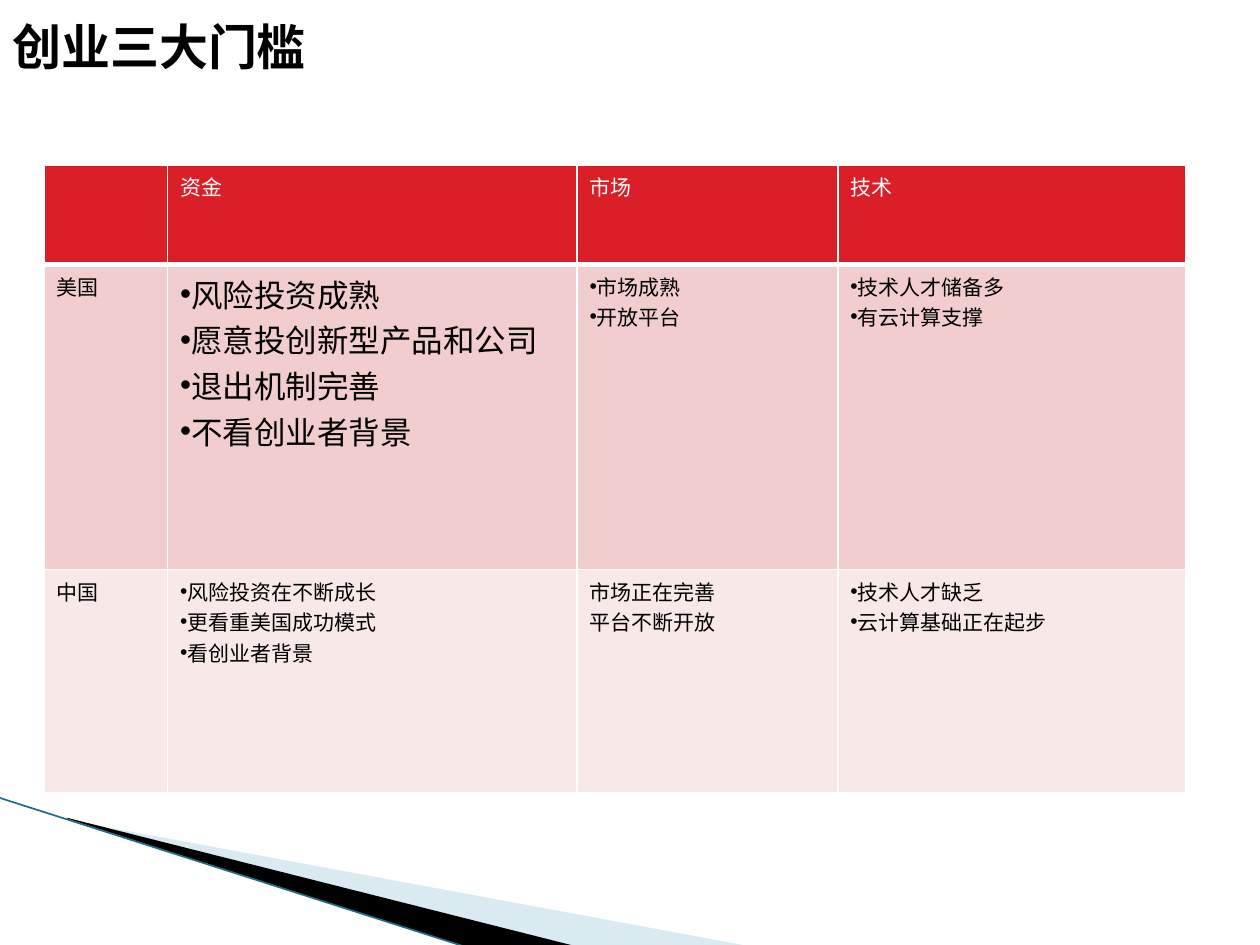
from dataclasses import dataclass

from lxml.etree import SubElement
from pptx import Presentation
from pptx.dml.color import RGBColor
from pptx.enum.shapes import MSO_CONNECTOR
from pptx.enum.text import MSO_ANCHOR
from pptx.oxml import parse_xml
from pptx.oxml.ns import nsdecls, qn
from pptx.util import Inches, Pt

COLORS = {
    "black": "000000",
    "white": "FFFFFF",
    "red": "DA1F28",
    "rose": "F1CDCD",
    "blush": "F8E8E8",
    "sky": "A0CBDC",
    "teal": "1B6F85",
}
CJK = "Noto Sans CJK SC"


@dataclass
class Wedge:
    points: list[tuple[float, float]]
    color: str
    alpha: int = 100


@dataclass
class Entry:
    lines: tuple[str, ...] = ()
    bullet: bool = False
    size: int = 12
    font: str = "Arial"
    level: int = 0


@dataclass
class Row:
    height: float
    fill: str
    ink: str
    cells: list[Entry]
    base: int = 1  # width of the lower border in points


WEDGES = [
    Wedge([(0.55, 6.51), (5.95, 7.51), (4.56, 7.51), (0.55, 6.5)], "sky", 40),
    Wedge([(0.53, 6.49), (4.57, 7.51), (3.72, 7.52), (0.54, 6.5)], "black"),
]
WIDTHS = [0.98, 3.25, 2.07, 2.76]
ROWS = [
    Row(0.79, "red", "white", [
        Entry(), Entry(("资金",)), Entry(("市场",)), Entry(("技术",)),
    ], base=3),
    Row(2.42, "rose", "black", [
        Entry(("美国",)),
        Entry(("风险投资成熟", "愿意投创新型产品和公司", "退出机制完善", "不看创业者背景"),
              True, 18, "Courier New", 1),
        Entry(("市场成熟", "开放平台"), True),
        Entry(("技术人才储备多", "有云计算支撑"), True),
    ]),
    Row(1.77, "blush", "black", [
        Entry(("中国",)),
        Entry(("风险投资在不断成长", "更看重美国成功模式", "看创业者背景"), True),
        Entry(("市场正在完善", "平台不断开放")),
        Entry(("技术人才缺乏", "云计算基础正在起步"), True),
    ]),
]


def tint(name: str) -> RGBColor:
    return RGBColor.from_string(COLORS[name])


def write(frame, lines, *, size=12, font="Arial", color="black",
          bold=False, bullet=False, level=0) -> None:
    """Fill a text frame with one paragraph per line."""
    for i, line in enumerate(lines):
        para = frame.add_paragraph() if i else frame.paragraphs[0]
        para.level = level
        run = para.add_run()
        run.text = line
        run.font.size = Pt(size)
        run.font.bold = bold
        run.font.color.rgb = tint(color)
        run.font.name = font
        SubElement(run.font._element, qn("a:ea"), typeface=CJK)
        if bullet:
            props = para._p.get_or_add_pPr()
            props.set("marL", "0")
            props.set("indent", "0")
            SubElement(props, qn("a:buFont"), typeface="Arial")
            SubElement(props, qn("a:buChar"), char="•")


def edge(cell, base: int) -> None:
    """Draw white borders around a cell."""
    props = cell._tc.get_or_add_tcPr()
    for i, (side, width) in enumerate(zip("LRTB", (1, 1, 1, base))):
        props.insert(i, parse_xml(
            f'<a:ln{side} {nsdecls("a")} w="{Pt(width)}"><a:solidFill>'
            f'<a:srgbClr val="{COLORS["white"]}"/></a:solidFill></a:ln{side}>'))


def draw_wedge(slide, wedge: Wedge) -> None:
    points = [(Inches(x), Inches(y)) for x, y in wedge.points]
    form = slide.shapes.build_freeform(*points[0])
    form.add_line_segments(points[1:], close=True)
    shape = form.convert_to_shape()
    shape.shadow.inherit = False
    shape.line.fill.background()
    shape.fill.solid()
    shape.fill.fore_color.rgb = tint(wedge.color)
    if wedge.alpha < 100:
        color = shape._element.spPr.find(".//" + qn("a:srgbClr"))
        SubElement(color, qn("a:alpha"), val=str(wedge.alpha * 1000))


def draw_line(slide) -> None:
    line = slide.shapes.add_connector(
        MSO_CONNECTOR.STRAIGHT, Inches(-0.01), Inches(6.33), Inches(3.71), Inches(7.52))
    line.line.color.rgb = tint("teal")
    line.line.width = Pt(0.95)
    SubElement(line._element.spPr, qn("a:effectLst"))


def draw_title(slide) -> None:
    box = slide.shapes.add_textbox(Inches(0), Inches(0.08), Inches(8.23), Inches(0.57))
    frame = box.text_frame
    frame.word_wrap = True
    frame.margin_top = frame.margin_bottom = 0
    frame.vertical_anchor = MSO_ANCHOR.MIDDLE
    write(frame, ["创业三大门槛"], size=28, font=CJK, bold=True)


def draw_table(slide, rows: list[Row]) -> None:
    table = slide.shapes.add_table(
        len(rows), len(WIDTHS), Inches(0.35), Inches(1.31),
        Inches(sum(WIDTHS)), Inches(sum(row.height for row in rows))).table
    for col, width in zip(table.columns, WIDTHS):
        col.width = Inches(width)
    for r, row in enumerate(rows):
        table.rows[r].height = Inches(row.height)
        for c, entry in enumerate(row.cells):
            cell = table.cell(r, c)
            cell.fill.solid()
            cell.fill.fore_color.rgb = tint(row.fill)
            edge(cell, row.base)
            write(cell.text_frame, entry.lines, size=entry.size, font=entry.font,
                  color=row.ink, bullet=entry.bullet, level=entry.level)


def main() -> None:
    deck = Presentation()
    deck.slide_width, deck.slide_height = Inches(10), Inches(7.5)
    slide = deck.slides.add_slide(deck.slide_layouts[6])
    # Corner decoration
    for wedge in WEDGES:
        draw_wedge(slide, wedge)
    draw_line(slide)
    # Content
    draw_title(slide)
    draw_table(slide, ROWS)
    deck.save("out.pptx")


if __name__ == "__main__":
    main()
